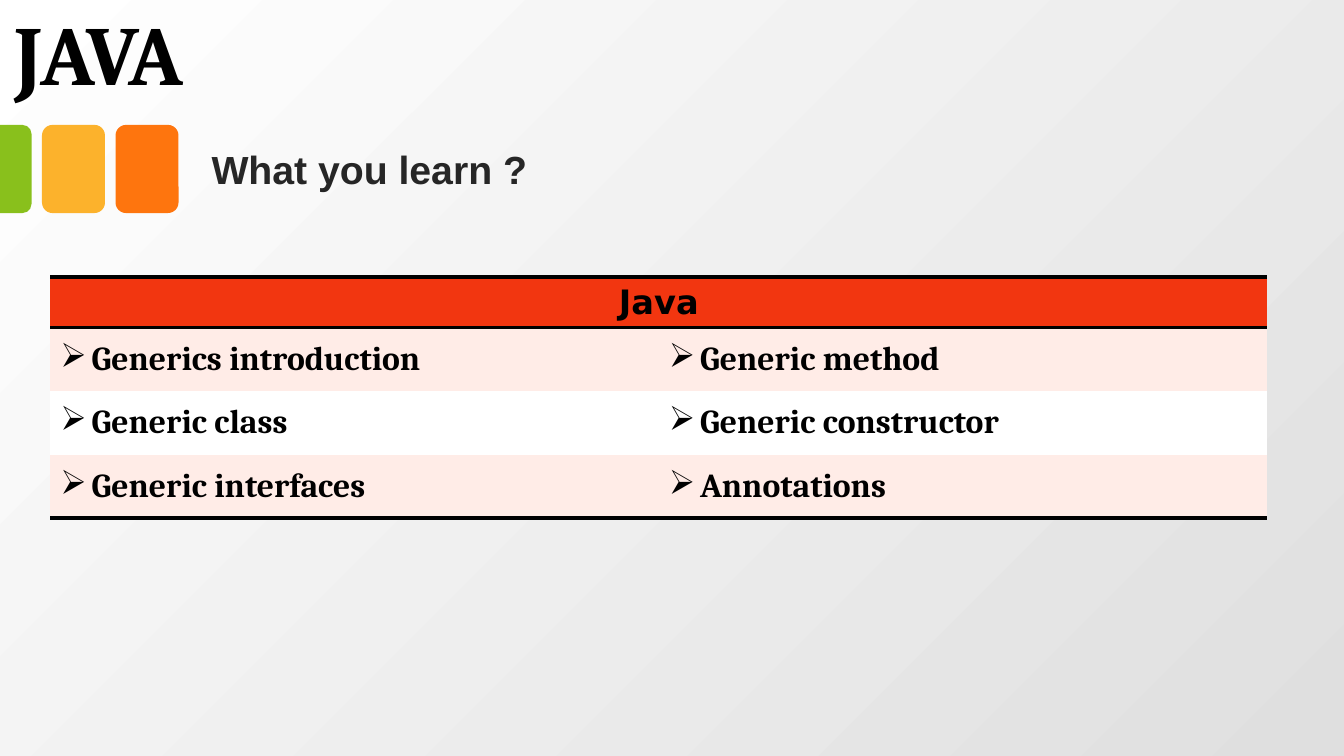
from dataclasses import dataclass

from lxml.etree import SubElement
from pptx import Presentation
from pptx.dml.color import RGBColor
from pptx.enum.shapes import MSO_SHAPE
from pptx.enum.text import MSO_ANCHOR, MSO_AUTO_SIZE, PP_ALIGN
from pptx.oxml.ns import qn
from pptx.util import Inches, Pt

GRID_COLUMNS = 128
PLAIN_TABLE_STYLE = "{2D5ABB26-0587-4C30-8999-92F81FD0307C}"


@dataclass(frozen=True)
class Theme:
    background: tuple = ("FFFFFF", "DFDFDF")
    green: str = "89C01C"
    amber: str = "FCB22C"
    orange: str = "FE750E"
    ink: str = "000000"
    heading_ink: str = "262626"
    header_fill: str = "F23610"
    bands: tuple = ("FFECE7", "FFFFFF")
    serif: str = "Cambria"
    sans: str = "Arial"
    header_font: str = "DejaVu Sans"
    title_size: int = 60
    heading_size: int = 28
    table_size: int = 24
    rule_width: int = 3


class SlideBuilder:
    """Places elements on square grid units, 128 across the slide."""

    def __init__(self, deck, theme):
        self.theme = theme
        self.slide = deck.slides.add_slide(deck.slide_layouts[6])
        self.unit = deck.slide_width / GRID_COLUMNS

    def grid(self, *lengths):
        return [round(length * self.unit) for length in lengths]

    def background(self):
        fill = self.slide.background.fill
        fill.gradient()
        fill.gradient_angle = 315
        for stop, color in zip(fill.gradient_stops, self.theme.background):
            stop.color.rgb = RGBColor.from_string(color)

    def tile(self, outline, box, color, corners, rotation=0):
        tile = self.slide.shapes.add_shape(outline, *self.grid(*box))
        tile.shadow.inherit = False
        tile.fill.solid()
        tile.fill.fore_color.rgb = RGBColor.from_string(color)
        tile.line.fill.background()
        tile.rotation = rotation
        for index, corner in enumerate(corners):
            tile.adjustments[index] = corner

    def style(self, paragraph, font, size, color):
        for run in paragraph.runs:
            run.font.name = font
            run.font.size = Pt(size)
            run.font.bold = True
            run.font.color.rgb = RGBColor.from_string(color)

    def text(self, box, words, font, size, color, wrap=True):
        frame = self.slide.shapes.add_textbox(*self.grid(*box)).text_frame
        frame.word_wrap = wrap
        frame.text = words
        self.style(frame.paragraphs[0], font, size, color)
        return frame

    def rule(self, cell, edge):
        """Draws a cell border; edge is lnT or lnB."""
        line = SubElement(cell._tc.get_or_add_tcPr(), qn(f"a:{edge}"),
                          w=str(Pt(self.theme.rule_width)))
        ink = SubElement(line, qn("a:solidFill"))
        SubElement(ink, qn("a:srgbClr"), val=self.theme.ink)

    def cell(self, cell, words, font, color, edges):
        for edge in edges:
            self.rule(cell, edge)
        cell.fill.solid()
        cell.fill.fore_color.rgb = RGBColor.from_string(color)
        cell.vertical_anchor = MSO_ANCHOR.MIDDLE
        cell.text_frame.text = words
        paragraph = cell.text_frame.paragraphs[0]
        self.style(paragraph, font, self.theme.table_size, self.theme.ink)
        return paragraph

    def bullet(self, paragraph):
        properties = paragraph._p.get_or_add_pPr()
        indent = Inches(0.31)
        properties.set("marL", str(indent))
        properties.set("indent", str(-indent))
        SubElement(properties, qn("a:buChar"), char="➢")

    def topic_table(self, box, header, topics, header_height, topic_height):
        theme = self.theme
        columns = len(topics[0])
        frame = self.slide.shapes.add_table(len(topics) + 1, columns, *self.grid(*box))
        table = frame.table
        table._tbl.tblPr.find(qn("a:tableStyleId")).text = PLAIN_TABLE_STYLE
        heights = [header_height] + [topic_height] * len(topics)
        for row, height in zip(table.rows, self.grid(*heights)):
            row.height = height

        table.cell(0, 0).merge(table.cell(0, columns - 1))
        for column in range(columns):
            words = "" if column else header
            paragraph = self.cell(table.cell(0, column), words, theme.header_font,
                                  theme.header_fill, ("lnT", "lnB"))
            paragraph.alignment = PP_ALIGN.CENTER

        for row, pair in enumerate(topics, start=1):
            band = theme.bands[(row - 1) % 2]
            edges = ("lnB",) if row == len(topics) else ()
            for column, topic in enumerate(pair):
                self.bullet(self.cell(table.cell(row, column), topic,
                                      theme.serif, band, edges))


def main():
    deck = Presentation()
    deck.slide_width, deck.slide_height = Inches(13.33), Inches(7.5)
    theme = Theme()
    page = SlideBuilder(deck, theme)
    page.background()

    top, width, height, gap = 11.9, 6, 8.4, 1
    edge_width = width / 2
    for index, color in enumerate((theme.amber, theme.orange)):
        left = edge_width + gap + index * (width + gap)
        page.tile(MSO_SHAPE.ROUNDED_RECTANGLE, (left, top, width, height),
                  color, (0.167,))
    # A quarter turn about the centre puts the rounded end on the right.
    turn = (height - edge_width) / 2
    page.tile(MSO_SHAPE.ROUND_2_SAME_RECTANGLE,
              (-turn, top + turn, height, edge_width),
              theme.green, (0.292, 0), rotation=90)

    title = page.text((0.1, 1.6, 109.4, 8.8), "JAVA",
                      theme.serif, theme.title_size, theme.ink)
    title.vertical_anchor = MSO_ANCHOR.BOTTOM
    title.margin_left = title.margin_right = Inches(0.13)
    title.margin_top = title.margin_bottom = Inches(0.07)
    title.paragraphs[0].line_spacing = 0.8

    page.topic_table(
        (4.8, 26.4, 115.9, 22.8), "Java",
        (("Generics introduction", "Generic method"),
         ("Generic class", "Generic constructor"),
         ("Generic interfaces", "Annotations")),
        header_height=4.4, topic_height=6.05)

    heading = page.text((19.2, 13.35, 33.4, 5.5), "What you learn ?",
                        theme.sans, theme.heading_size, theme.heading_ink, wrap=False)
    heading.auto_size = MSO_AUTO_SIZE.SHAPE_TO_FIT_TEXT

    deck.save("out.pptx")


if __name__ == "__main__":
    main()
